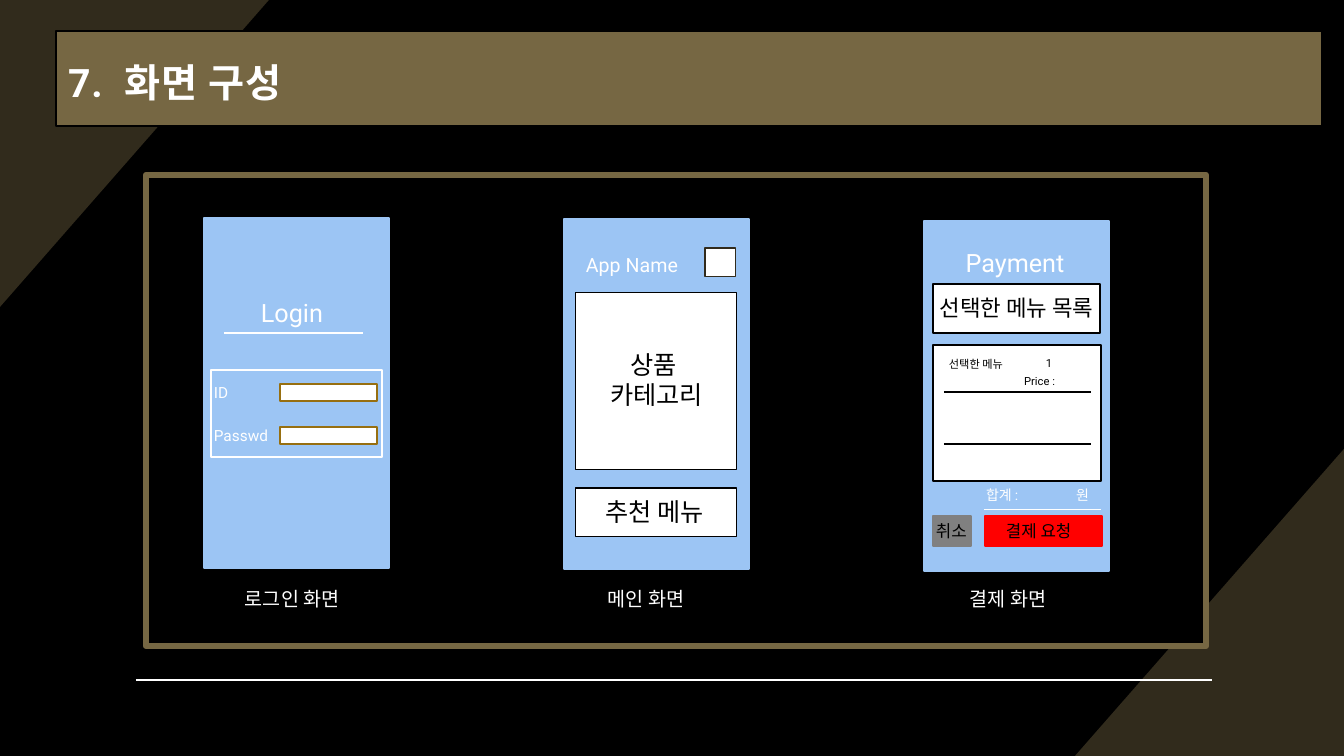
"""Build the slide that shows the login, main and payment screens."""
from pptx import Presentation
from pptx.dml.color import RGBColor
from pptx.enum.shapes import MSO_CONNECTOR, MSO_SHAPE
from pptx.enum.text import MSO_ANCHOR, MSO_AUTO_SIZE, PP_ALIGN
from pptx.oxml import parse_xml
from pptx.util import Pt

SCALE = 914400 / 100.8
BLACK, WHITE, GOLD, DARK = "000000", "FFFFFF", "766743", "312B1C"
BLUE, RED, GREY, OCHRE = "9CC5F4", "FF0000", "808080", "976F10"
LEFT, MID = PP_ALIGN.LEFT, PP_ALIGN.CENTER
NS = "http://schemas.openxmlformats.org/drawingml/2006/main"


def px(*vals):
    return [round(val * SCALE) for val in vals]


def tint(fill, code):
    fill.solid()
    fill.fore_color.rgb = RGBColor.from_string(code)


deck = Presentation()
deck.slide_width, deck.slide_height = px(1344, 756)
slide = deck.slides.add_slide(deck.slide_layouts[5])
shapes = slide.shapes
tint(slide.background.fill, BLACK)

corners = [
    [(1344, 449), (1344, 756), (1075, 756)],
    [(0, 307), (0, 0), (269, 0)],
]
for start, *rest in corners:
    path = shapes.build_freeform(*start, scale=SCALE)
    path.add_line_segments(rest, close=True)
    corner = path.convert_to_shape()
    corner.shadow.inherit = False
    tint(corner.fill, DARK)
    corner.line.fill.background()

rects = [
    (146, 175, 1060, 471, BLACK, GOLD, 4.5),
    (56, 31, 1266, 95, GOLD, BLACK, 1),
    (204, 218, 185, 350, BLUE, BLUE, 1),
    (564, 219, 185, 350, BLUE, BLUE, 1),
    (924, 221, 185, 350, BLUE, BLUE, 1),
    (280, 384, 97, 17, WHITE, OCHRE, 1),
    (280, 427, 97, 17, WHITE, OCHRE, 1),
    (211, 370, 171, 87, None, WHITE, 1.5),
    (705, 248, 31, 29, WHITE, DARK, 0.75),
    (576, 293, 161, 177, WHITE, BLACK, 0.75),
    (576, 488, 161, 49, WHITE, BLACK, 0.75),
    (933, 284, 167, 49, WHITE, BLACK, 1),
    (933, 345, 168, 136, WHITE, BLACK, 1),
    (985, 516, 117, 30, RED, RED, 1),
    (933, 516, 38, 30, GREY, GREY, 1),
]
for *place, fill, edge, width in rects:
    rect = shapes.add_shape(MSO_SHAPE.RECTANGLE, *px(*place))
    rect.shadow.inherit = False
    if fill:
        tint(rect.fill, fill)
    else:
        rect.fill.background()
    tint(rect.line.fill, edge)
    rect.line.width = Pt(width)

rules = [
    (136, 1212, 680, WHITE, 1),
    (224, 363, 333, WHITE, 0.75),
    (984, 1101, 509, WHITE, 0.5),
    (944, 1091, 392, BLACK, 1.5),
    (944, 1091, 444, BLACK, 1.5),
]
for left, right, top, code, width in rules:
    rule = shapes.add_connector(MSO_CONNECTOR.STRAIGHT, *px(left, top, right, top))
    tint(rule.line.fill, code)
    rule.line.width = Pt(width)
    rule.element.spPr.append(parse_xml(f'<a:effectLst xmlns:a="{NS}"/>'))

title = shapes.title
title.left, title.top, title.width, title.height = px(56, 38, 1092, 81)
frame = title.text_frame
inset = Pt(8.6)
layout = {
    "margin_left": inset, "margin_right": inset, "margin_top": inset,
    "margin_bottom": Pt(7.2), "word_wrap": True,
    "auto_size": MSO_AUTO_SIZE.NONE, "vertical_anchor": MSO_ANCHOR.MIDDLE,
}
for key, val in layout.items():
    setattr(frame, key, val)
head = frame.paragraphs[0]
head.alignment, head.line_spacing = LEFT, 1.1
for text, gap in [("7.", 70), (" ", 800), ("화면 구성", 70)]:
    run = head.add_run()
    run.text = text
    for key, val in {"name": "Roboto", "size": Pt(28), "bold": True}.items():
        setattr(run.font, key, val)
    tint(run.font.fill, WHITE)
    run.font._element.set("spc", str(gap))
shapes.element.append(title.element)

labels = [
    ("Login", 251, 292, 138, 40, 18, WHITE, LEFT),
    ("ID", 204, 378, 138, 29, 11, WHITE, LEFT),
    ("Passwd", 204, 421, 77, 29, 11, WHITE, LEFT),
    ("로그인 화면", 235, 582, 117, 34, 14, WHITE, LEFT),
    ("메인 화면", 598, 582, 117, 34, 14, WHITE, LEFT),
    ("결제 화면", 960, 582, 117, 34, 14, WHITE, LEFT),
    ("App Name", 576, 248, 116, 34, 14, WHITE, LEFT),
    ("상품 \n카테고리", 586, 344, 141, 72, 18, BLACK, MID),
    ("추천 메뉴 ", 587, 491, 141, 40, 18, BLACK, MID),
    ("Payment", 941, 242, 148, 40, 18, WHITE, MID),
    ("선택한 메뉴 목록", 916, 289, 201, 37, 16, BLACK, MID),
    ("선택한 메뉴", 939, 352, 84, 24, 8, BLACK, LEFT),
    ("1", 1036, 351, 24, 24, 8, BLACK, MID),
    ("Price : ", 1001, 369, 80, 27, 8, BLACK, MID),
    ("합계 : ", 964, 482, 80, 27, 10, WHITE, MID),
    ("원", 1062, 482, 41, 27, 10, WHITE, MID),
    ("취소", 926, 516, 55, 30, 12, BLACK, LEFT),
    ("결제 요청", 996, 516, 94, 30, 12, BLACK, LEFT),
]
for text, *place, size, code, align in labels:
    frame = shapes.add_textbox(*px(*place)).text_frame
    frame.word_wrap = text != "1"
    frame.text = text
    for para in frame.paragraphs:
        para.alignment = align
        for run in para.runs:
            for key, val in {"name": "Roboto", "size": Pt(size)}.items():
                setattr(run.font, key, val)
            tint(run.font.fill, code)

deck.save("out.pptx")
